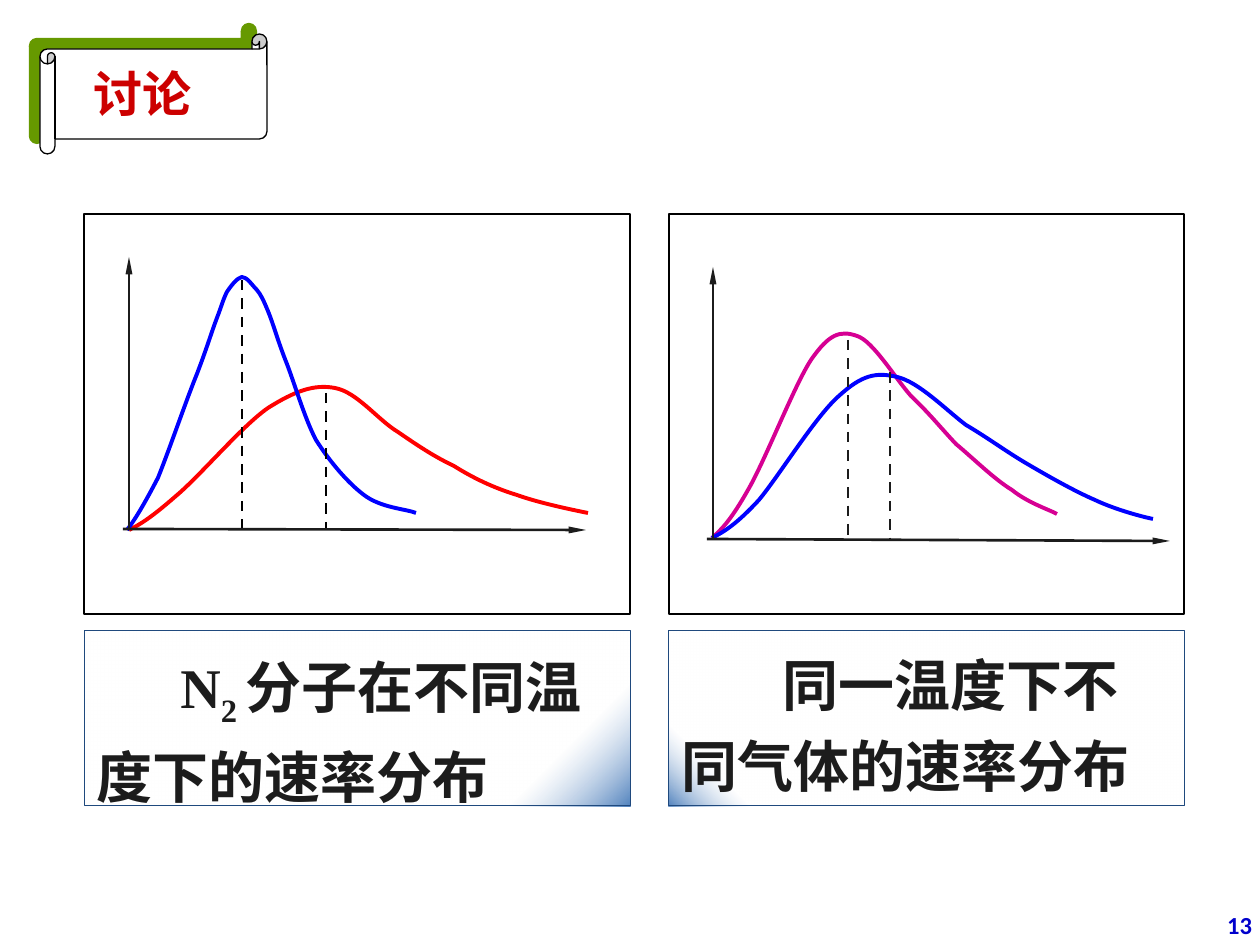
from lxml import etree
from pptx import Presentation
from pptx.dml.color import RGBColor as RGB
from pptx.enum.dml import MSO_LINE_DASH_STYLE as DASH
from pptx.enum.shapes import MSO_CONNECTOR as LINK, MSO_SHAPE as SHAPE
from pptx.enum.text import MSO_ANCHOR as ANCHOR, PP_ALIGN as ALIGN
from pptx.oxml.ns import qn
from pptx.util import Pt

PX = 914400 / 126
COLORS = {
    "white": "FFFFFF", "black": "000000", "ink": "1C1C1C", "blue": "0000FF",
    "red": "FF0000", "magenta": "D60093", "border": "1F497D", "glow": "4F81BD",
    "title": "CC0000", "green": "669900", "number": "0000CC",
}


def px(*values):
    return [round(value * PX) for value in values]


def style(target, size, color, font="Times New Roman"):
    target.name, target.size, target.bold = font, Pt(size), True
    target.color.rgb = RGB.from_string(COLORS[color])


prs = Presentation()
prs.slide_width, prs.slide_height = px(1260, 945)
slide = prs.slides.add_slide(prs.slide_layouts[6])
shapes = slide.shapes

number = shapes.add_textbox(*px(971, 900, 289, 50)).text_frame
number.word_wrap = True
number.vertical_anchor = ANCHOR.MIDDLE
number.margin_right = px(8)[0]
number.text = "13"
number.paragraphs[0].alignment = ALIGN.RIGHT
style(number.paragraphs[0].font, 14, "number", "Calibri")

same_temperature = {
    "frame": (669, 214, 515, 400),
    "caption": (669, 631, 516, 175),
    "indent": 101, "gradient": (0.88, 41, 225),
    "text": [("同一温度下不同气体的速率分布", 0)],
    "curves": [
        ("magenta", [
            (712, 538), (722, 529), (731, 520), (748, 490), (765, 461), (794, 386),
            (811, 360), (829, 334), (840, 330), (857, 336), (873, 341), (895, 378),
            (911, 396), (929, 413), (940, 427), (956, 444), (974, 459), (994, 479),
            (1012, 490), (1028, 503), (1050, 510), (1057, 514)]),
        ("blue", [
            (712, 538), (724, 532), (737, 524), (759, 500), (779, 476), (816, 416),
            (839, 396), (862, 375), (876, 372), (897, 377), (919, 382), (946, 410),
            (966, 425), (988, 438), (1004, 450), (1024, 462), (1046, 475), (1074, 491),
            (1095, 500), (1116, 510), (1143, 517), (1153, 519)]),
    ],
    "peaks": [(848, 340, 848, 540), (890, 372, 890, 540)], "peak_color": "ink",
    "axes": [(707, 539, 1170, 541), (713, 540, 713, 267)],
}
same_gas = {
    "frame": (84, 214, 546, 400),
    "caption": (84, 631, 546, 175),
    "indent": 84, "gradient": (0.83, 50, 315),
    "text": [("N", 0), ("2 ", -25000), ("分子在不同温度下的速率分布", 0)],
    "curves": [
        ("red", [
            (129, 530), (141, 524), (152, 517), (176, 496), (200, 476), (242, 426),
            (268, 408), (295, 391), (314, 384), (335, 388), (357, 392), (378, 420),
            (398, 432), (417, 445), (433, 456), (454, 466), (473, 478), (494, 488),
            (517, 495), (539, 503), (573, 510), (588, 513)]),
        ("blue", [
            (127, 530), (135, 520), (145, 503), (158, 478), (169, 451), (186, 401),
            (197, 374), (207, 348), (212, 331), (217, 318), (222, 305), (223, 300),
            (227, 292), (231, 286), (237, 278), (242, 277), (247, 277), (252, 285),
            (257, 290), (261, 295), (263, 299), (268, 311), (273, 323), (277, 338),
            (285, 359), (294, 381), (304, 417), (316, 440), (330, 462), (348, 483),
            (364, 495), (381, 508), (406, 509), (416, 513)]),
    ],
    "peaks": [(242, 280, 242, 529), (326, 393, 326, 529)], "peak_color": "black",
    "axes": [(123, 529, 586, 530), (129, 530, 129, 257)],
}

for panel in (same_temperature, same_gas):
    caption = shapes.add_shape(SHAPE.RECTANGLE, *px(*panel["caption"]))
    caption.shadow.inherit = False
    start, alpha, angle = panel["gradient"]
    caption.fill.gradient()
    caption.fill.gradient_angle = angle
    stops = caption.fill.gradient_stops
    for stop, position, color in zip(stops, (start, 1), ("white", "glow")):
        stop.position = position
        stop.color.rgb = RGB.from_string(COLORS[color])
    clear = next(caption._element.spPr.iter(qn("a:srgbClr")))
    etree.SubElement(clear, qn("a:alpha"), val=str(alpha * 1000))
    caption.line.color.rgb = RGB.from_string(COLORS["border"])
    caption.line.width = Pt(0.5)
    caption.text_frame.vertical_anchor = ANCHOR.TOP
    sentence = caption.text_frame.paragraphs[0]
    sentence.alignment = ALIGN.LEFT
    sentence.line_spacing = 1.2
    sentence._p.get_or_add_pPr().set("indent", str(px(panel["indent"])[0]))
    style(sentence.font, 32, "ink")
    for words, baseline in panel["text"]:
        run = sentence.add_run()
        run.text = words
        if baseline:
            run.font._element.set("baseline", str(baseline))

    frame = shapes.add_shape(SHAPE.RECTANGLE, *px(*panel["frame"]))
    frame.shadow.inherit = False
    frame.fill.solid()
    frame.fill.fore_color.rgb = RGB.from_string(COLORS["white"])
    frame.line.color.rgb = RGB.from_string(COLORS["black"])
    frame.line.width = Pt(0.75)

    for color, points in panel["curves"]:
        outline = shapes.build_freeform(*points[0], scale=PX)
        outline.add_line_segments(points[1:], close=False)
        curve = outline.convert_to_shape()
        curve.shadow.inherit = False
        curve.fill.background()
        curve.line.color.rgb = RGB.from_string(COLORS[color])
        curve.line.width = Pt(2.25)
        track = next(curve._element.iter(qn("a:path")))
        segments = track.findall(qn("a:lnTo"))
        for first in range(0, len(segments), 3):
            bezier = etree.SubElement(track, qn("a:cubicBezTo"))
            for segment in segments[first:first + 3]:
                bezier.append(segment[0])
                track.remove(segment)

    strokes = [(ends, panel["peak_color"], False) for ends in panel["peaks"]]
    strokes += [(ends, "ink", True) for ends in panel["axes"]]
    for ends, color, is_axis in strokes:
        stroke = shapes.add_connector(LINK.STRAIGHT, *px(*ends))
        stroke.line.color.rgb = RGB.from_string(COLORS[color])
        stroke.line.width = Pt(1.5)
        if is_axis:
            etree.SubElement(stroke.line._get_or_add_ln(), qn("a:tailEnd"),
                             type="triangle", w="sm", len="lg")
        else:
            stroke.line.dash_style = DASH.DASH
        etree.SubElement(stroke._element.spPr, qn("a:effectLst"))

scroll = shapes.add_shape(SHAPE.HORIZONTAL_SCROLL, *px(40, 34, 227, 120))
scroll.fill.solid()
scroll.fill.fore_color.rgb = RGB.from_string(COLORS["white"])
scroll.line.color.rgb = RGB.from_string(COLORS["black"])
scroll.line.width = Pt(0.75)
scroll.shadow.inherit = False
effects = scroll._element.spPr.find(qn("a:effectLst"))
shade = etree.SubElement(effects, qn("a:outerShdw"), dist=str(Pt(8.5)),
                         dir="13500000", algn="ctr", rotWithShape="0")
etree.SubElement(shade, qn("a:srgbClr"), val=COLORS["green"])

heading = shapes.add_textbox(*px(81, 57, 214, 91)).text_frame
heading.word_wrap = True
heading.text = "讨论"
style(heading.paragraphs[0].font, 28, "title")

prs.save("out.pptx")
